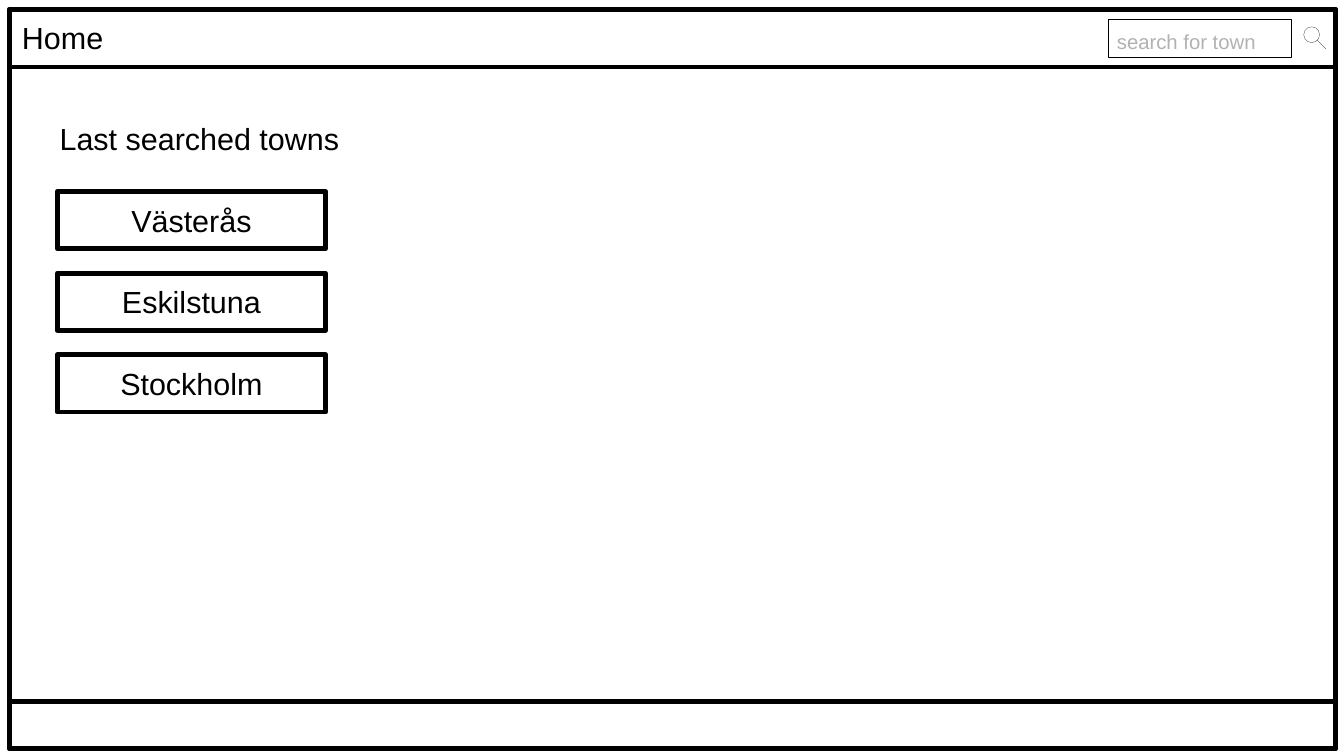
from lxml import etree
from pptx import Presentation
from pptx.dml.color import RGBColor
from pptx.enum.shapes import MSO_CONNECTOR, MSO_SHAPE
from pptx.enum.text import MSO_ANCHOR, MSO_AUTO_SIZE, PP_ALIGN
from pptx.oxml.ns import qn
from pptx.util import Inches, Pt

COLORS = {"ink": "000000", "hint": "B2B2B2", "paper": "FFFFFF"}
TOWNS = ["Västerås", "Eskilstuna", "Stockholm"]
THICK = 2.83
HAIRLINE = 0.1


def color(name):
    """Return the named palette colour."""
    return RGBColor.from_string(COLORS[name])


def write(holder, text, size=18, ink="ink", align=PP_ALIGN.LEFT, wrap=False):
    """Put one formatted line of text into a shape."""
    frame = holder.text_frame
    frame.text = text
    frame.word_wrap = wrap
    frame.auto_size = MSO_AUTO_SIZE.NONE
    frame.vertical_anchor = MSO_ANCHOR.MIDDLE
    frame.margin_left = frame.margin_right = Inches(0.1)
    frame.margin_top = frame.margin_bottom = Inches(0.05)
    paragraph = frame.paragraphs[0]
    paragraph.alignment = align
    font = paragraph.runs[0].font
    font.name, font.size = "Arial", Pt(size)
    font.color.rgb = color(ink)


def outline(slide, left, top, width, height, weight=THICK, preset=MSO_SHAPE.RECTANGLE):
    """Draw an unfilled outlined shape."""
    box = slide.shapes.add_shape(
        preset, Inches(left), Inches(top), Inches(width), Inches(height))
    box.shadow.inherit = False
    box.fill.background()
    box.line.color.rgb = color("ink")
    box.line.width = Pt(weight)
    return box


def label(slide, left, top, width, height, text, **style):
    """Add a free-standing line of text."""
    caption = slide.shapes.add_textbox(
        Inches(left), Inches(top), Inches(width), Inches(height))
    write(caption, text, **style)


def magnifier(slide, left, top, size):
    """Draw the search icon inside a square."""
    lens_size = size * 0.72
    grip = size / 2
    handle = slide.shapes.add_connector(
        MSO_CONNECTOR.STRAIGHT, Inches(left + grip), Inches(top + grip),
        Inches(left + size), Inches(top + size))
    handle.line.color.rgb = color("ink")
    handle.line.width = Pt(HAIRLINE)
    etree.SubElement(handle.element.spPr, qn("a:effectLst"))
    lens = outline(slide, left, top, lens_size, lens_size, HAIRLINE, MSO_SHAPE.OVAL)
    lens.fill.solid()
    lens.fill.fore_color.rgb = color("paper")


def header(slide, left, top, width, height):
    """Build the top bar with the page title and the search field."""
    outline(slide, left, top, width, height)
    title = slide.shapes.title
    title.left, title.top = Inches(left), Inches(top + 0.04)
    title.width, title.height = Inches(1.5), Inches(0.38)
    write(title, "Home")
    right = left + width
    outline(slide, right - 1.86, top + 0.08, 1.5, 0.31, HAIRLINE)
    label(slide, right - 1.89, top + 0.11, 1.34, 0.29,
          "search for town", size=12, ink="hint")
    magnifier(slide, right - 0.26, top + 0.14, 0.18)


def town_list(slide, left, top, width):
    """Build the heading and an evenly spaced button for each town."""
    label(slide, left - 0.08, top, 2.49, 0.38, "Last searched towns")
    for index, town in enumerate(TOWNS):
        button = outline(slide, left, top + 0.63 + index * 0.67, width, 0.47)
        write(button, town, align=PP_ALIGN.CENTER, wrap=True)


def home_page(slide, left, top, width, height):
    """Build the page frame, its bars and its content."""
    footer_height = 0.39
    outline(slide, left, top, width, height)
    outline(slide, left, top + height - footer_height, width, footer_height)
    header(slide, left, top, width, 0.47)
    town_list(slide, left + 0.39, top + 0.86, 2.2)


def main():
    """Create and save the presentation."""
    deck = Presentation()
    deck.slide_width, deck.slide_height = Inches(11.02), Inches(6.2)
    slide = deck.slides.add_slide(deck.slide_layouts[5])
    home_page(slide, 0.08, 0.08, 10.87, 6.06)
    deck.save("out.pptx")


if __name__ == "__main__":
    main()
